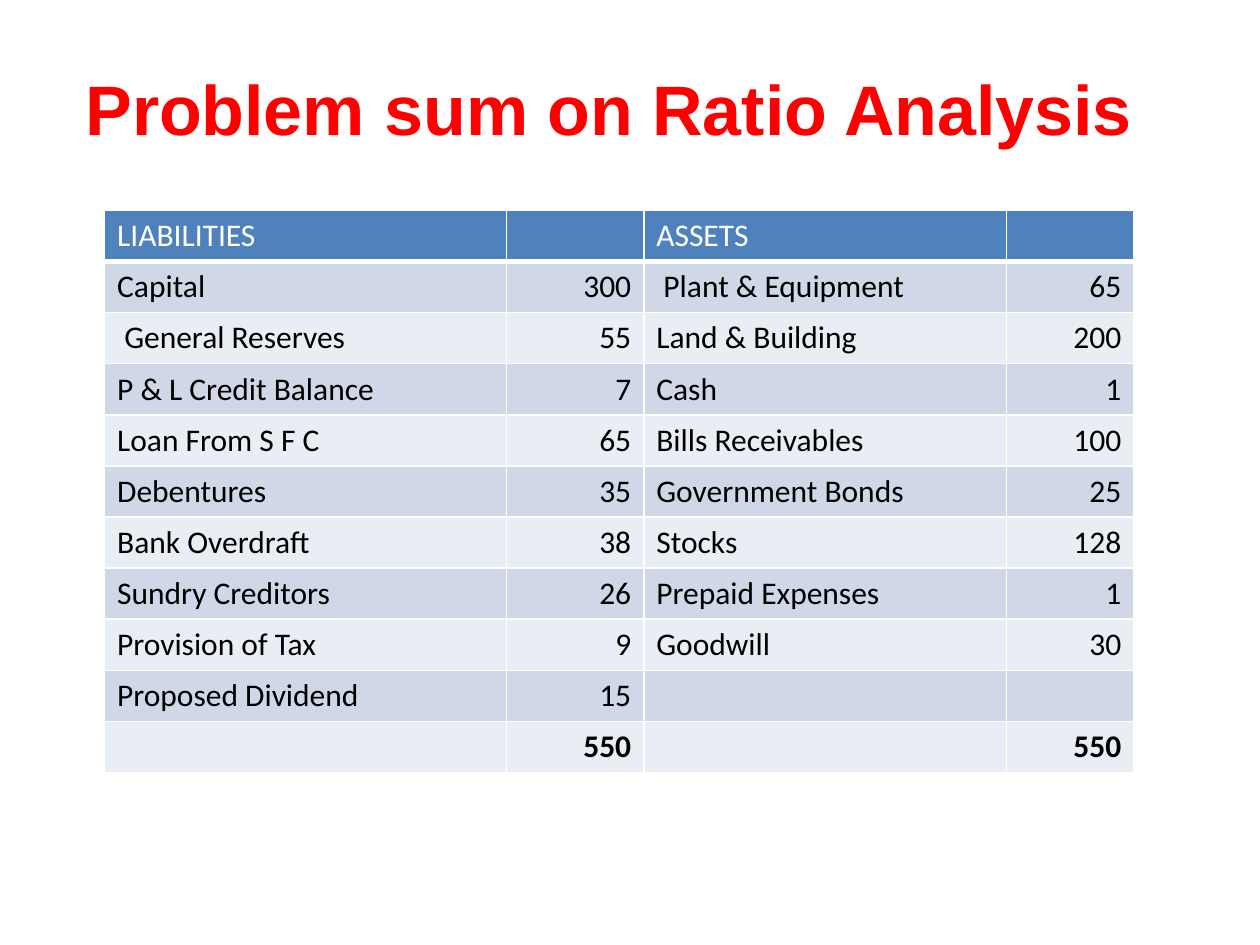
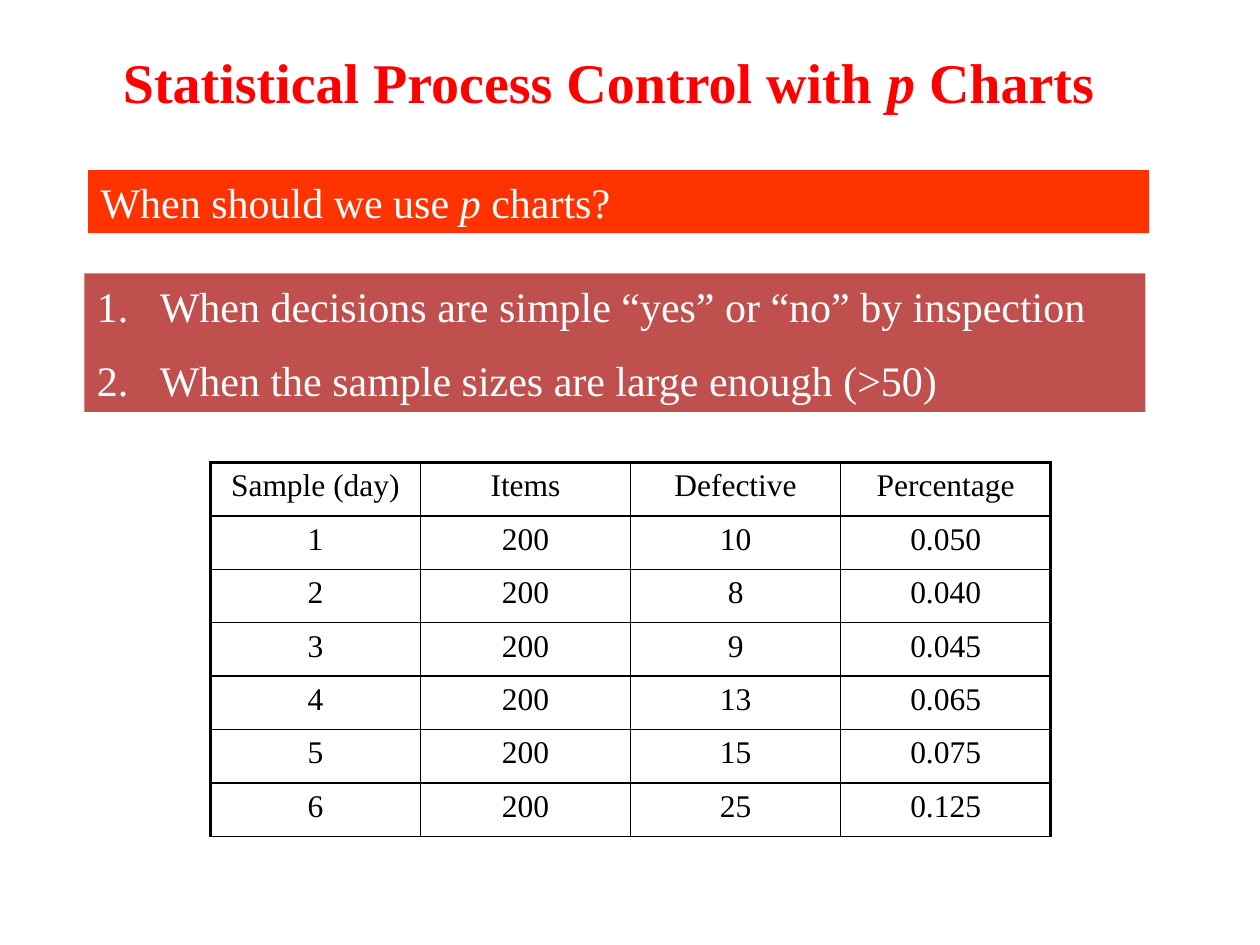
from dataclasses import dataclass

from lxml.etree import SubElement
from pptx import Presentation
from pptx.dml.color import RGBColor as RGB
from pptx.enum.shapes import MSO_SHAPE as Shape
from pptx.enum.text import PP_ALIGN as Align
from pptx.oxml.ns import qn
from pptx.util import Inches, Pt


@dataclass(frozen=True)
class Theme:
    title: str = "FF0000"
    white: str = "FFFFFF"
    black: str = "000000"
    header: str = "4F81BD"
    bands: tuple = ("D0D8E8", "E9EDF4")
    question: str = "FF3300"
    answer: str = "C0504D"
    sans: str = "Arial"
    body: str = "Calibri"
    serif: str = "Times New Roman"
    title_size: int = 40
    subtitle_size: int = 32
    bar_size: int = 24
    table_size: int = 18
    thin: float = 1
    thick: float = 2.25
    header_rule: float = 3


T = Theme()

BALANCE_SHEET = [
    ("LIABILITIES", "", "ASSETS", ""),
    ("Capital", "300", " Plant & Equipment", "65"),
    (" General Reserves", "55", "Land & Building", "200"),
    ("P & L Credit Balance", "7", "Cash", "1"),
    ("Loan From S F C", "65", "Bills Receivables", "100"),
    ("Debentures", "35", "Government Bonds", "25"),
    ("Bank Overdraft", "38", "Stocks", "128"),
    ("Sundry Creditors", "26", "Prepaid Expenses", "1"),
    ("Provision of Tax", "9", "Goodwill", "30"),
    ("Proposed Dividend", "15", "", ""),
    ("", "550", "", "550"),
]
ITEMS_PER_SAMPLE = 200
DEFECTIVES = [10, 8, 9, 13, 15, 25]


def write(tf, *lines, font, size, color, bold=False, align=Align.LEFT, gap=0, numbered=False):
    """Fill a text frame, one paragraph a line; parts between asterisks are italic."""
    tf.word_wrap = True
    for i, line in enumerate(lines):
        p = tf.add_paragraph() if i else tf.paragraphs[0]
        p.alignment = align
        if i:
            p.space_before = Pt(gap)
        if numbered:
            pPr = p._p.get_or_add_pPr()
            pPr.set("marL", str(Inches(0.5)))
            pPr.set("indent", str(-Inches(0.5)))
            SubElement(pPr, qn("a:buFont"), typeface="+mj-lt")
            SubElement(pPr, qn("a:buAutoNum"), type="arabicPeriod")
        for n, part in enumerate(line.split("*")):
            if not part:
                continue
            r = p.add_run()
            r.text = part
            r.font.name, r.font.size = font, Pt(size)
            r.font.bold, r.font.italic = bold, n % 2 == 1
            r.font.color.rgb = RGB.from_string(color)


def add_title(s, box, text, **fmt):
    sp = s.shapes.add_textbox(*map(Inches, box))
    write(sp.text_frame, text, color=T.title, bold=True, **fmt)


def add_bar(s, box, fill, *lines, **fmt):
    sp = s.shapes.add_shape(Shape.RECTANGLE, *map(Inches, box))
    sp.shadow.inherit = False
    sp.fill.solid()
    sp.fill.fore_color.rgb = RGB.from_string(fill)
    sp.line.fill.background()
    write(sp.text_frame, *lines, font=T.serif, size=T.bar_size, color=T.white, **fmt)


def set_borders(cell, color, left, right, top, bottom):
    tcPr = cell._tc.get_or_add_tcPr()
    for side, width in zip("LRTB", (left, right, top, bottom)):
        ln = SubElement(tcPr, qn(f"a:ln{side}"), w=str(Pt(width)))
        SubElement(SubElement(ln, qn("a:solidFill")), qn("a:srgbClr"), val=color)


def add_plain_table(s, box, rows, col_widths):
    """Add a table without banding, with equal rows; return it."""
    table = s.shapes.add_table(len(rows), len(col_widths), *map(Inches, box)).table
    table.first_row = table.horz_banding = False
    for col, width in zip(table.columns, col_widths):
        col.width = Inches(width)
    for row in table.rows:
        row.height = Inches(box[3] / len(rows))
    return table


def add_balance_sheet(s, box):
    table = add_plain_table(s, box, BALANCE_SHEET, (3.19, 1.09, 2.88, 1.01))
    last = len(BALANCE_SHEET) - 1
    for r, row in enumerate(BALANCE_SHEET):
        for c, text in enumerate(row):
            cell = table.cell(r, c)
            bottom = T.thin if r else T.header_rule
            set_borders(cell, T.white, T.thin, T.thin, T.thin, bottom)
            cell.fill.solid()
            cell.fill.fore_color.rgb = RGB.from_string(T.bands[(r - 1) % 2] if r else T.header)
            write(cell.text_frame, text, font=T.body, size=T.table_size,
                  color=T.black if r else T.white, bold=r == last,
                  align=Align.RIGHT if c % 2 else Align.LEFT)


def add_sample_table(s, box):
    rows = [("Sample (day)", "Items", "Defective", "Percentage")]
    for day, bad in enumerate(DEFECTIVES, 1):
        rows.append((str(day), str(ITEMS_PER_SAMPLE), str(bad), f"{bad / ITEMS_PER_SAMPLE:.3f}"))
    count = len(rows[0])
    table = add_plain_table(s, box, rows, [box[2] / count] * count)
    for r, row in enumerate(rows):
        for c, text in enumerate(row):
            cell = table.cell(r, c)
            set_borders(cell, T.black,
                        left=T.thin if c else T.thick,
                        right=T.thick if c == count - 1 else T.thin,
                        top=T.thin if r else T.thick,
                        bottom=T.thin)
            cell.fill.background()
            write(cell.text_frame, text, font=T.serif, size=T.table_size,
                  color=T.black, align=Align.CENTER)


def ratio_slide(prs):
    s = prs.slides.add_slide(prs.slide_layouts[6])
    add_balance_sheet(s, (0.83, 1.67, 8.17, 4.4))
    add_title(s, (0.58, 0.47, 8.67, 0.77), "Problem sum on Ratio Analysis",
              font=T.sans, size=T.title_size)


def p_chart_slide(prs):
    s = prs.slides.add_slide(prs.slide_layouts[6])
    add_bar(s, (0.7, 1.35, 8.42, 0.5), T.question, "When should we use *p* charts?")
    add_bar(s, (0.67, 2.17, 8.42, 1.1), T.answer,
            "When decisions are simple “yes” or “no” by inspection",
            "When the sample sizes are large enough (>50)", gap=13, numbered=True)
    add_sample_table(s, (1.67, 3.67, 6.67, 2.97))
    add_title(s, (0.33, 0.33, 9, 0.63), "Statistical Process Control with *p* Charts",
              font=T.serif, size=T.subtitle_size, align=Align.CENTER)


def main():
    prs = Presentation()
    prs.slide_width, prs.slide_height = Inches(10), Inches(7.5)
    ratio_slide(prs)
    p_chart_slide(prs)
    prs.save("out.pptx")


if __name__ == "__main__":
    main()
